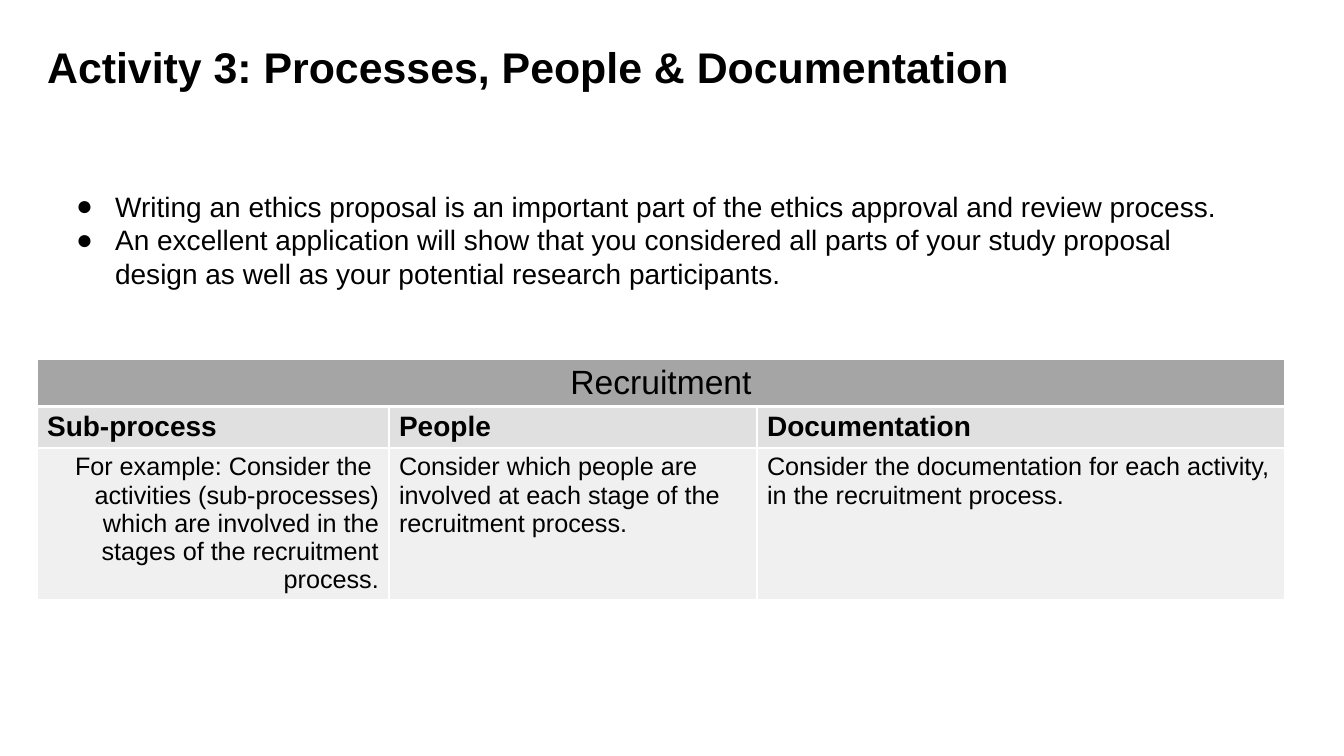
from dataclasses import dataclass

from lxml.etree import SubElement
from pptx import Presentation
from pptx.dml.color import RGBColor
from pptx.enum.text import MSO_ANCHOR, PP_ALIGN
from pptx.oxml.ns import qn
from pptx.util import Emu, Pt

EMU_PER_PX = 914400 / 100.8


@dataclass(frozen=True)
class Theme:
    font: str = "Arial"
    text: str = "000000"
    border: str = "FFFFFF"
    banner: str = "A5A5A5"
    header: str = "E0E0E0"
    body: str = "F0F0F0"
    title_size: float = 30.6
    banner_size: int = 24
    header_size: int = 20
    list_size: int = 20
    body_size: int = 18


@dataclass(frozen=True)
class Box:
    left: int
    top: int
    width: int
    height: int


@dataclass(frozen=True)
class Row:
    texts: tuple[str, ...]
    height: int
    fill: str
    size: int
    bold: bool = False
    first_align: PP_ALIGN = PP_ALIGN.LEFT
    bottom_border: int = 1


THEME = Theme()
TITLE_BOX = Box(37, 41, 1266, 80)
LIST_BOX = Box(55, 184, 1212, 112)
TABLE_BOX = Box(37, 359, 1248, 239)
COLUMNS = (352, 368, 528)

TITLE = "Activity 3: Processes, People & Documentation"
BULLETS = (
    "Writing an ethics proposal is an important part of the ethics approval and review process.",
    "An excellent application will show that you considered all parts of your study proposal "
    "design as well as your potential research participants.",
)
ROWS = (
    Row(("Recruitment",), 47, THEME.banner, THEME.banner_size,
        first_align=PP_ALIGN.CENTER, bottom_border=3),
    Row(("Sub-process", "People", "Documentation"), 41, THEME.header,
        THEME.header_size, bold=True),
    Row(("For example: Consider the  activities (sub-processes) which are involved in the "
         "stages of the recruitment process.",
         "Consider which people are involved at each stage of the recruitment process.",
         "Consider the documentation for each activity, in the recruitment process."),
        151, THEME.body, THEME.body_size, first_align=PP_ALIGN.RIGHT),
)


def px(n: int) -> Emu:
    return Emu(round(n * EMU_PER_PX))


def place(sp, box: Box) -> None:
    sp.left, sp.top = px(box.left), px(box.top)
    sp.width, sp.height = px(box.width), px(box.height)


def add_run(p, text: str, size: float, bold: bool = False) -> None:
    r = p.add_run()
    r.text = text
    r.font.name = THEME.font
    r.font.size = Pt(size)
    r.font.bold = bold
    r.font.color.rgb = RGBColor.from_string(THEME.text)


def set_bullet(p) -> None:
    pPr = p._p.get_or_add_pPr()
    pPr.set("marL", str(px(50)))
    pPr.set("indent", str(-px(39)))
    color = SubElement(pPr, qn("a:buClr"))
    SubElement(color, qn("a:srgbClr"), val=THEME.text)
    SubElement(pPr, qn("a:buFont"), typeface=THEME.font)
    SubElement(pPr, qn("a:buChar"), char="●")


def set_borders(cell, top: int, bottom: int) -> None:
    """Border widths are in points; the side borders are 1 pt."""
    tcPr = cell._tc.get_or_add_tcPr()
    for i, (side, width) in enumerate((("L", 1), ("R", 1), ("T", top), ("B", bottom))):
        ln = SubElement(tcPr, qn(f"a:ln{side}"), w=str(Pt(width)))
        fill = SubElement(ln, qn("a:solidFill"))
        SubElement(fill, qn("a:srgbClr"), val=THEME.border)
        tcPr.insert(i, ln)


def add_title(s) -> None:
    sp = s.shapes.title
    place(sp, TITLE_BOX)
    tf = sp.text_frame
    tf.vertical_anchor = MSO_ANCHOR.TOP
    p = tf.paragraphs[0]
    p.alignment = PP_ALIGN.LEFT
    p.line_spacing = 0.9
    add_run(p, TITLE, THEME.title_size, bold=True)


def add_bullets(s) -> None:
    sp = s.placeholders[1]
    place(sp, LIST_BOX)
    tf = sp.text_frame
    for i, text in enumerate(BULLETS):
        p = tf.add_paragraph() if i else tf.paragraphs[0]
        p.space_before = Pt(0)
        set_bullet(p)
        add_run(p, text, THEME.list_size)


def add_process_table(s) -> None:
    box = TABLE_BOX
    table = s.shapes.add_table(len(ROWS), len(COLUMNS), px(box.left), px(box.top),
                               px(box.width), px(box.height)).table
    for column, width in zip(table.columns, COLUMNS):
        column.width = px(width)
    top = 1
    for i, row in enumerate(ROWS):
        table.rows[i].height = px(row.height)
        for j, cell in enumerate(table.rows[i].cells):
            cell.fill.solid()
            cell.fill.fore_color.rgb = RGBColor.from_string(row.fill)
            set_borders(cell, top, row.bottom_border)
            if j < len(row.texts):
                p = cell.text_frame.paragraphs[0]
                p.alignment = PP_ALIGN.LEFT if j else row.first_align
                add_run(p, row.texts[j], row.size, row.bold)
        top = row.bottom_border
    table.cell(0, 0).merge(table.cell(0, len(COLUMNS) - 1))


def main() -> None:
    prs = Presentation()
    prs.slide_width, prs.slide_height = px(1344), px(756)
    s = prs.slides.add_slide(prs.slide_layouts[1])
    add_title(s)
    add_process_table(s)
    add_bullets(s)
    prs.save("out.pptx")


if __name__ == "__main__":
    main()
